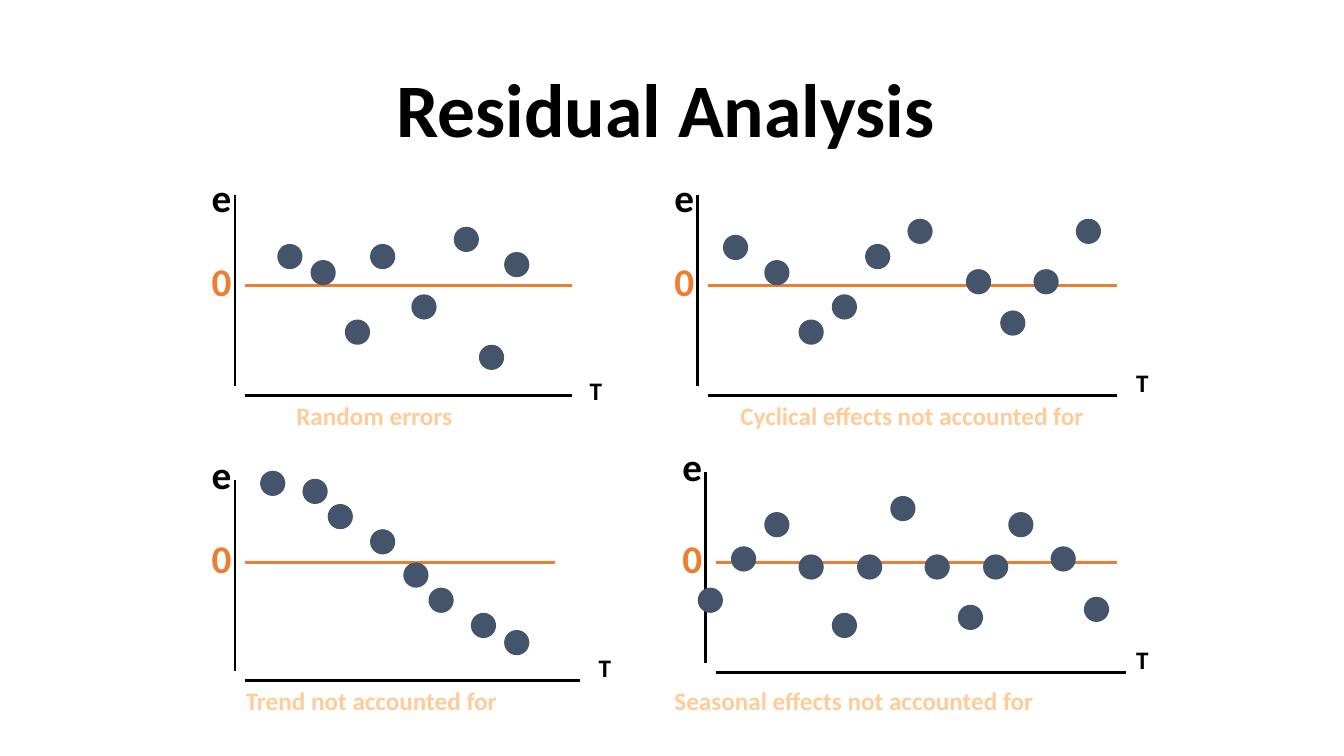
from dataclasses import dataclass

from lxml import etree
from pptx import Presentation
from pptx.dml.color import RGBColor
from pptx.enum import shapes, text
from pptx.oxml import ns
from pptx.util import Inches, Pt

BLACK, ORANGE, PEACH, SLATE = "000000", "ED7D31", "FFCC99", "44546A"
DOT = 0.25


@dataclass
class Panel:
    axis: tuple        # x and top of the vertical axis
    zero_y: float
    zero_end: float    # right end of the zero line
    time_end: float    # right end of the time axis
    e_top: float
    t_at: tuple
    caption: str
    caption_at: tuple  # left, top, width
    caption_align: text.PP_ALIGN
    residuals: list    # left and top of each dot


LEFT, CENTER = text.PP_ALIGN.LEFT, text.PP_ALIGN.CENTER
PANELS = [
    Panel((2.33, 1.93), 2.83, 5.67, 5.67, 1.67, (5.75, 3.67),
          "Random errors", (2.84, 3.92, 2.75), LEFT,
          [(2.75, 2.42), (3.08, 2.58), (3.42, 3.17), (3.67, 2.42),
           (4.08, 2.92), (4.5, 2.25), (4.75, 3.42), (5, 2.5)]),
    Panel((6.92, 1.93), 2.83, 11.08, 11.08, 1.67, (11.17, 3.59),
          "Cyclical effects not accounted for", (6.42, 3.92, 5.25), CENTER,
          [(7.17, 2.33), (7.58, 2.58), (7.92, 3.17), (8.25, 2.92),
           (8.58, 2.42), (9, 2.17), (9.58, 2.67), (9.92, 3.08),
           (10.25, 2.67), (10.67, 2.17)]),
    Panel((2.33, 4.76), 5.58, 5.5, 5.75, 4.42, (5.84, 6.42),
          "Trend not accounted for", (2.34, 6.75, 3.83), LEFT,
          [(2.58, 4.67), (3, 4.75), (3.25, 5), (3.67, 5.25),
           (4, 5.58), (4.25, 5.83), (4.67, 6.08), (5, 6.25)]),
    Panel((7, 4.68), 5.58, 11.08, 11.17, 4.34, (11.17, 6.34),
          "Seasonal effects not accounted for", (6.59, 6.75, 5.08), LEFT,
          [(6.92, 5.83), (7.25, 5.42), (7.58, 5.08), (7.92, 5.5),
           (8.25, 6.08), (8.5, 5.5), (8.83, 4.92), (9.17, 5.5),
           (9.5, 6), (9.75, 5.5), (10, 5.08), (10.42, 5.42),
           (10.75, 5.92)]),
]


def rgb(value):
    return RGBColor.from_string(value)


def style_font(font, size, color, bold=True):
    formats = {"name": "Calibri", "size": Pt(size), "bold": bold}
    for name, value in formats.items():
        setattr(font, name, value)
    font.color.rgb = rgb(color)


def add_title(slide, wording):
    title = slide.shapes.title
    place = {"left": 0.92, "top": 0.4, "width": 11.5, "height": 1.45}
    for name, value in place.items():
        setattr(title, name, Inches(value))
    frame = title.text_frame
    frame.auto_size = text.MSO_AUTO_SIZE.NONE
    frame.vertical_anchor = text.MSO_ANCHOR.MIDDLE
    paragraph = frame.paragraphs[0]
    paragraph.alignment = CENTER
    paragraph.line_spacing = 0.9
    for part, size, bold in ((wording, 54, True), (" ", 44, False)):
        run = paragraph.add_run()
        run.text = part
        style_font(run.font, size, BLACK, bold)


def add_label(slide, wording, place, size, color, align=LEFT):
    label = slide.shapes.add_textbox(*map(Inches, place))
    frame = label.text_frame
    frame.word_wrap = True
    frame.auto_size = text.MSO_AUTO_SIZE.SHAPE_TO_FIT_TEXT
    paragraph = frame.paragraphs[0]
    paragraph.alignment = align
    run = paragraph.add_run()
    run.text = wording
    style_font(run.font, size, color)


def add_line(slide, start, end, color):
    line = slide.shapes.add_connector(
        shapes.MSO_CONNECTOR.STRAIGHT, *map(Inches, (*start, *end)))
    line.line.color.rgb = rgb(color)
    line.line.width = Pt(2)
    etree.SubElement(line._element.spPr, ns.qn("a:effectLst"))


def add_dot(slide, left, top):
    dot = slide.shapes.add_shape(
        shapes.MSO_SHAPE.OVAL, *map(Inches, (left, top, DOT, DOT)))
    dot.shadow.inherit = False
    dot.fill.solid()
    dot.fill.fore_color.rgb = rgb(SLATE)
    dot.line.fill.background()


def add_panel(slide, panel):
    axis_x, axis_top = panel.axis
    start_x, label_x = axis_x + 0.1, axis_x - 0.33
    time_y = axis_top + 1.99

    # Axes and zero line
    add_line(slide, panel.axis, (axis_x, axis_top + 1.9), BLACK)
    add_line(slide, (start_x, time_y), (panel.time_end, time_y), BLACK)
    add_line(slide, (start_x, panel.zero_y),
             (panel.zero_end, panel.zero_y), ORANGE)

    # Axis labels and caption
    add_label(slide, "e", (label_x, panel.e_top, 0.58, 0.56), 28, BLACK)
    add_label(slide, "0", (label_x, panel.zero_y - 0.33, 0.58, 0.56),
              28, ORANGE)
    add_label(slide, "T", (*panel.t_at, 0.5, 0.4), 18, BLACK)
    add_label(slide, panel.caption, (*panel.caption_at, 0.4), 18, PEACH,
              panel.caption_align)

    # Residuals
    for left, top in panel.residuals:
        add_dot(slide, left, top)


def main():
    deck = Presentation()
    deck.slide_width, deck.slide_height = Inches(13.33), Inches(7.5)
    slide = deck.slides.add_slide(deck.slide_layouts.get_by_name("Title Only"))
    add_title(slide, "Residual Analysis")
    for panel in PANELS:
        add_panel(slide, panel)
    deck.save("out.pptx")


if __name__ == "__main__":
    main()
